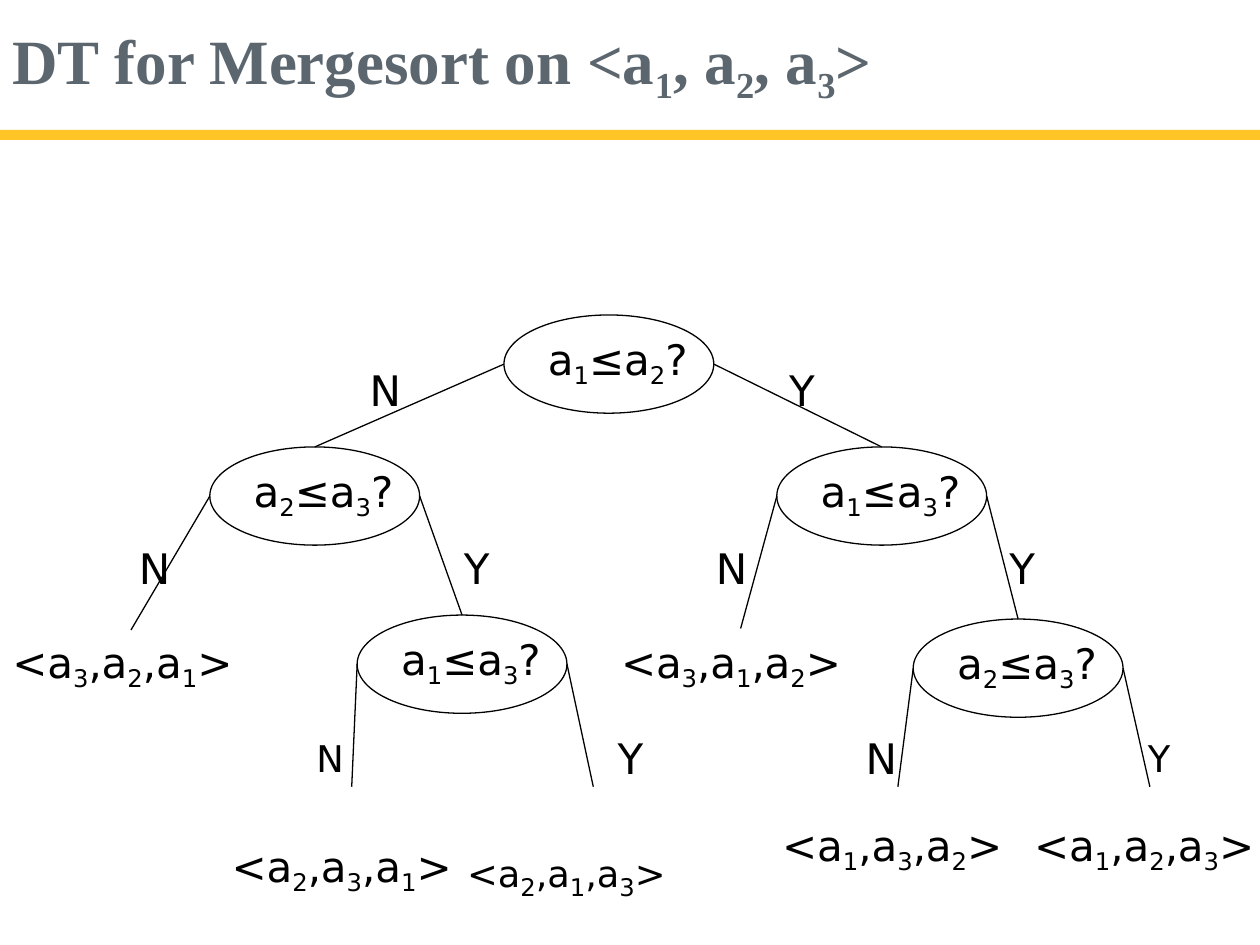
from itertools import groupby

from lxml import etree
from pptx import Presentation
from pptx.dml.color import RGBColor
from pptx.enum import shapes, text
from pptx.oxml.ns import qn
from pptx.util import Cm, Pt

COLORS = {"title": "5C666F", "bar": "FFC527", "ink": "000000", "node": "FFFFFF"}
NODE_W, NODE_H = 4.23, 1.98
TREE_FONT, TREE_SIZE, SMALL_SIZE = "DejaVu Sans", 24, 21


def write(frame, content, size, font=TREE_FONT, color="ink", sub_size=TREE_SIZE,
          spacing=-0.1, bold=False):
    """Fill a frame run by run, setting every digit as a subscript."""
    frame.margin_left = frame.margin_right = frame.margin_bottom = 0
    frame.margin_top = Cm(0.06)
    frame.auto_size = text.MSO_AUTO_SIZE.NONE
    paragraph = frame.paragraphs[0]
    for is_index, letters in groupby(content, str.isdigit):
        run = paragraph.add_run()
        run.text = "".join(letters)
        run.font.name = font
        run.font.size = Pt(sub_size if is_index else size)
        run.font.bold = bold
        run.font.color.rgb = RGBColor.from_string(COLORS[color])
        properties = run.font._element
        properties.set("spc", str(round(spacing * 100)))
        if is_index:
            properties.set("baseline", "-21000")
    return paragraph


prs = Presentation()
prs.slide_width, prs.slide_height = Cm(25.4), Cm(19.05)
slide = prs.slides.add_slide(prs.slide_layouts[5])

# Title and the bar beneath it
title = slide.shapes.title
title.left, title.top, title.width, title.height = Cm(0.15), Cm(0.38), Cm(23.14), Cm(1.6)
title.text_frame.vertical_anchor = text.MSO_ANCHOR.TOP
heading = write(title.text_frame, "DT for Mergesort on <a1, a2, a3>", 36,
                "Times New Roman", "title", sub_size=36, spacing=0, bold=True)
heading.alignment = text.PP_ALIGN.LEFT
title.text_frame.margin_left = Cm(0.1)

bar = slide.shapes.add_shape(shapes.MSO_SHAPE.RECTANGLE, 0, Cm(2.62), Cm(25.4), Cm(0.2))
bar.shadow.inherit = False
bar.fill.solid()
bar.fill.fore_color.rgb = RGBColor.from_string(COLORS["bar"])
bar.line.fill.background()

# Comparisons: left, top, question
comparisons = {
    "root": (10.16, 6.35, "a1≤a2?"),
    "no": (4.23, 9.01, "a2≤a3?"),
    "yes": (15.66, 9.01, "a1≤a3?"),
    "no-yes": (7.2, 12.4, "a1≤a3?"),
    "yes-yes": (18.41, 12.48, "a2≤a3?"),
}
for left, top, question in comparisons.values():
    node = slide.shapes.add_shape(shapes.MSO_SHAPE.OVAL, Cm(left), Cm(top),
                                  Cm(NODE_W), Cm(NODE_H))
    node.shadow.inherit = False
    node.fill.solid()
    node.fill.fore_color.rgb = RGBColor.from_string(COLORS["node"])
    node.line.color.rgb = RGBColor.from_string(COLORS["ink"])
    node.line.width = Pt(0.75)
    frame = node.text_frame
    write(frame, question, TREE_SIZE).alignment = text.PP_ALIGN.CENTER
    frame.word_wrap = False
    frame.vertical_anchor = text.MSO_ANCHOR.MIDDLE
    frame.margin_left, frame.margin_top, frame.margin_bottom = Cm(0.36), 0, Cm(0.1)

# Branches: parent, answer, and either the next comparison or the end point
branches = [
    ("root", "N", "no"),
    ("root", "Y", "yes"),
    ("no", "N", (2.64, 12.7)),
    ("no", "Y", "no-yes"),
    ("yes", "N", (14.93, 12.67)),
    ("yes", "Y", "yes-yes"),
    ("no-yes", "N", (7.09, 15.86)),
    ("no-yes", "Y", (11.96, 15.86)),
    ("yes-yes", "N", (18.1, 15.86)),
    ("yes-yes", "Y", (23.18, 15.86)),
]
for parent, answer, target in branches:
    left, top, _ = comparisons[parent]
    start_x = left + (NODE_W if answer == "Y" else 0)
    if target in comparisons:
        child_left, end_y, _ = comparisons[target]
        end_x = child_left + NODE_W / 2
    else:
        end_x, end_y = target
    branch = slide.shapes.add_connector(
        shapes.MSO_CONNECTOR.STRAIGHT,
        Cm(start_x), Cm(top + NODE_H / 2), Cm(end_x), Cm(end_y))
    branch.line.color.rgb = RGBColor.from_string(COLORS["ink"])
    branch.line.width = Pt(0.75)
    etree.SubElement(branch._element.spPr, qn("a:effectLst"))

# Answers on the branches and sorted orders at the leaves: left, top, wording, size
answers = [
    (7.42, 7.29, "N", TREE_SIZE),
    (15.88, 7.29, "Y", TREE_SIZE),
    (2.77, 10.87, "N", TREE_SIZE),
    (9.32, 10.87, "Y", TREE_SIZE),
    (14.4, 10.87, "N", TREE_SIZE),
    (20.32, 10.87, "Y", TREE_SIZE),
    (6.35, 14.78, "N", SMALL_SIZE),
    (12.42, 14.7, "Y", TREE_SIZE),
    (17.42, 14.7, "N", TREE_SIZE),
    (23.11, 14.78, "Y", SMALL_SIZE),
]
orders = [
    (0.15, 12.78, "<a3,a2,a1>", TREE_SIZE),
    (12.42, 12.78, "<a3,a1,a2>", TREE_SIZE),
    (4.57, 16.89, "<a2,a3,a1>", TREE_SIZE),
    (9.32, 16.99, "<a2,a1,a3>", SMALL_SIZE),
    (15.67, 16.46, "<a1,a3,a2>", TREE_SIZE),
    (20.75, 16.46, "<a1,a2,a3>", TREE_SIZE),
]
for labels, width, indent in ((answers, 0.8, 0.03), (orders, 4.65, 0.1)):
    for left, top, wording, size in labels:
        label = slide.shapes.add_textbox(Cm(left), Cm(top), Cm(width), Cm(1.09))
        write(label.text_frame, wording, size)
        label.text_frame.word_wrap = True
        label.text_frame.margin_left = Cm(indent)

prs.save("out.pptx")
